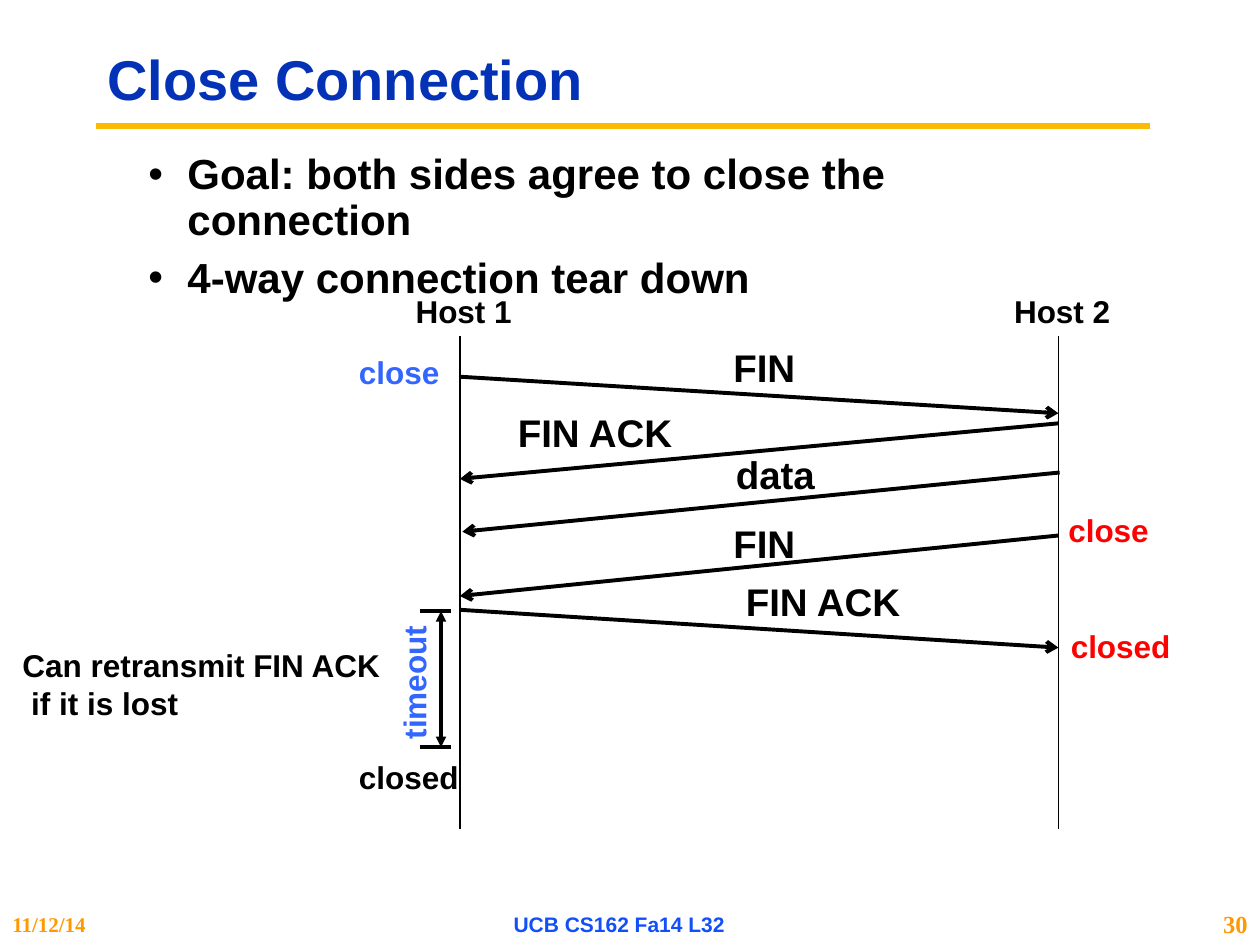
import pptx
import pptx.util
import pptx.dml.color
import pptx.enum.shapes
import pptx.enum.text
import pptx.oxml
import pptx.oxml.ns
import lxml.etree

RGB = pptx.dml.color.RGBColor
ALIGN = pptx.enum.text.PP_ALIGN
MIDDLE = pptx.enum.text.MSO_ANCHOR.MIDDLE
AUTO = pptx.enum.text.MSO_AUTO_SIZE

BLACK = RGB(0x00, 0x00, 0x00)
TITLE_BLUE = RGB(0x03, 0x32, 0xB7)
GOLD = RGB(0xFB, 0xBA, 0x03)
HOST1_BLUE = RGB(0x33, 0x66, 0xFF)
HOST2_RED = RGB(0xFF, 0x00, 0x00)
FOOTER_BLUE = RGB(0x11, 0x4F, 0xFB)
FOOTER_ORANGE = RGB(0xFF, 0x99, 0x00)


def px(length):
    """Turn px, at 100 to the inch, into EMU."""
    return pptx.util.Emu(length * 9144)


def style_text(frame, size, color, font="Arial", align=ALIGN.LEFT):
    """Format every run of a text frame in bold."""
    for para in frame.paragraphs:
        para.alignment = align
        for span in para.runs:
            span.font.name = font
            span.font.size = pptx.util.Pt(size)
            span.font.bold = True
            span.font.color.rgb = color


def add_label(page, box, text, size=18, color=BLACK, inset=(10, 5)):
    """Add a one-piece label that grows with its text."""
    label = page.shapes.add_textbox(*map(px, box))
    frame = label.text_frame
    frame.text = text
    frame.word_wrap = False
    frame.auto_size = AUTO.SHAPE_TO_FIT_TEXT
    frame.margin_left = frame.margin_right = px(inset[0])
    frame.margin_top = frame.margin_bottom = px(inset[1])
    style_text(frame, size, color)
    return label


def add_line(page, start, end, width, color=BLACK, head=None, tail=None):
    """Draw a straight line with optional arrowheads."""
    line = page.shapes.add_connector(
        pptx.enum.shapes.MSO_CONNECTOR.STRAIGHT, *map(px, start + end))
    line.line.color.rgb = color
    line.line.width = pptx.util.Pt(width)
    outline = line.line._get_or_add_ln()
    for tag, kind in (("a:headEnd", head), ("a:tailEnd", tail)):
        if kind:
            lxml.etree.SubElement(outline, pptx.oxml.ns.qn(tag), type=kind)
    lxml.etree.SubElement(line._element.spPr, pptx.oxml.ns.qn("a:effectLst"))


def add_title(page, box):
    """Place the title and the gold rule below it."""
    left, top, width, height = box
    title = page.shapes.title
    title.left, title.top, title.width, title.height = map(px, box)
    frame = title.text_frame
    frame.text = "Close Connection"
    frame.vertical_anchor = MIDDLE
    frame.auto_size = AUTO.NONE
    frame.paragraphs[0].line_spacing = 0.9
    style_text(frame, 32, TITLE_BLUE)
    add_line(page, (left + 1, top + 75), (left + 838, top + 75), 3.75, GOLD)


def add_bullets(page, box):
    """Place the two bulleted statements."""
    frame = page.shapes.add_textbox(*map(px, box)).text_frame
    frame.word_wrap = True
    frame.text = ("Goal: both sides agree to close the connection\n"
                  "4-way connection tear down")
    style_text(frame, 24, BLACK)
    for para in frame.paragraphs:
        para.line_spacing = 0.9
        properties = para._p.get_or_add_pPr()
        properties.set("marL", str(px(31)))
        properties.set("indent", str(px(-31)))
        lxml.etree.SubElement(properties, pptx.oxml.ns.qn("a:buFont"), typeface="Arial")
        lxml.etree.SubElement(properties, pptx.oxml.ns.qn("a:buChar"), char="•")
    frame.paragraphs[1].space_before = pptx.util.Pt(7.2)


def add_timeout(page, left, top):
    """Draw the timeout span with its rotated label."""
    for y in (top, top + 108):
        add_line(page, (left, y), (left + 25, y), 2)
    add_line(page, (left + 17, top + 108), (left + 17, top), 2,
             head="triangle", tail="triangle")
    label = add_label(page, (left - 61, top + 35, 113, 40), "timeout", color=HOST1_BLUE)
    label.rotation = 270


def add_sequence(page, box):
    """Draw both host lifelines, their messages and their states."""
    left, top, width, height = box
    right = left + width
    for number, x in enumerate((left, right), 1):
        add_line(page, (x, top), (x, top + height), 1)
        add_label(page, (x - 45, top - 40, 97, 40), f"Host {number}")

    messages = [
        ("FIN", left, 32, right, 61, (208, 2, 68)),
        ("FIN ACK", right, 69, left, 113, (37, 54, 143)),
        ("data", right + 1, 108, left + 2, 155, (210, 87, 82)),
        ("FIN", right, 158, left, 206, (208, 142, 68)),
        ("FIN ACK", left, 217, right, 247, (218, 188, 143)),
    ]
    for text, x1, y1, x2, y2, (x, y, text_width) in messages:
        add_line(page, (x1, top + y1), (x2, top + y2), 2.25, tail="arrow")
        add_label(page, (left + x, top + y, text_width, 46), text, 22, inset=(9, 4))

    states = [
        ("close", left - 90, 8, 85, HOST1_BLUE),
        ("closed", left - 90, 330, 100, BLACK),
        ("close", right - 2, 134, 85, HOST2_RED),
        ("closed", right, 226, 100, HOST2_RED),
    ]
    for text, x, y, text_width, color in states:
        add_label(page, (x, top + y, text_width, 40), text, color=color)

    add_timeout(page, left - 32, top + 218)
    add_label(page, (left - 357, top + 241, 318, 71),
              "Can retransmit FIN ACK\v if it is lost")


def add_footer(page, top, height):
    """Place the date, course name and page number."""
    items = [
        ("11/12/14", 0, 167, 12, FOOTER_ORANGE, "Times New Roman", ALIGN.LEFT),
        ("UCB CS162 Fa14 L32", 333, 317, 12, FOOTER_BLUE, "Arial", ALIGN.CENTER),
        ("30", 942, 58, 14, FOOTER_ORANGE, "Times New Roman", ALIGN.RIGHT),
    ]
    for text, left, width, size, color, font, align in items:
        frame = page.shapes.add_textbox(*map(px, (left, top, width, height))).text_frame
        frame.text = text
        frame.word_wrap = True
        frame.vertical_anchor = MIDDLE
        style_text(frame, size, color, font, align)


def main():
    """Build and save the slide."""
    deck = pptx.Presentation()
    deck.slide_width, deck.slide_height = px(1000), px(750)
    page = deck.slides.add_slide(deck.slide_layouts[5])
    add_title(page, (75, 25, 842, 81))
    add_bullets(page, (108, 117, 783, 75))
    add_sequence(page, (365, 267, 475, 391))
    add_footer(page, 717, 33)
    deck.save("out.pptx")


if __name__ == "__main__":
    main()
